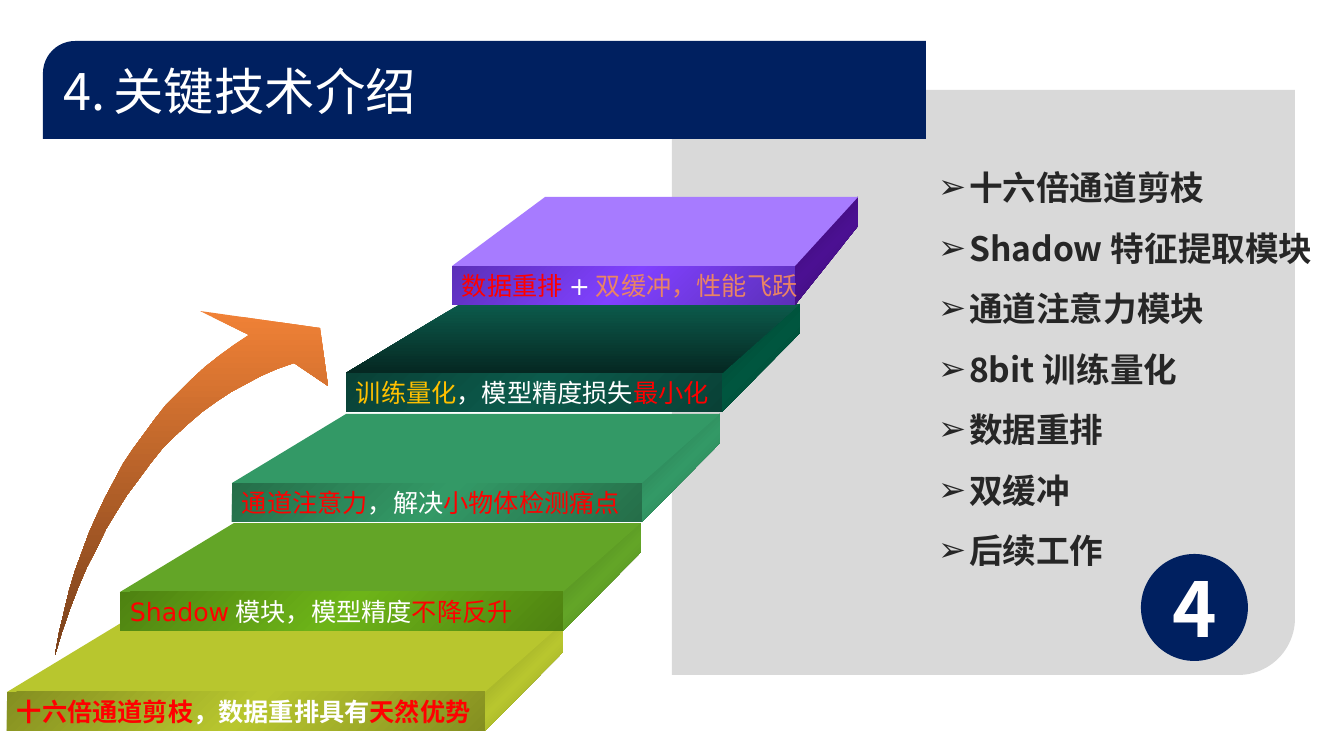
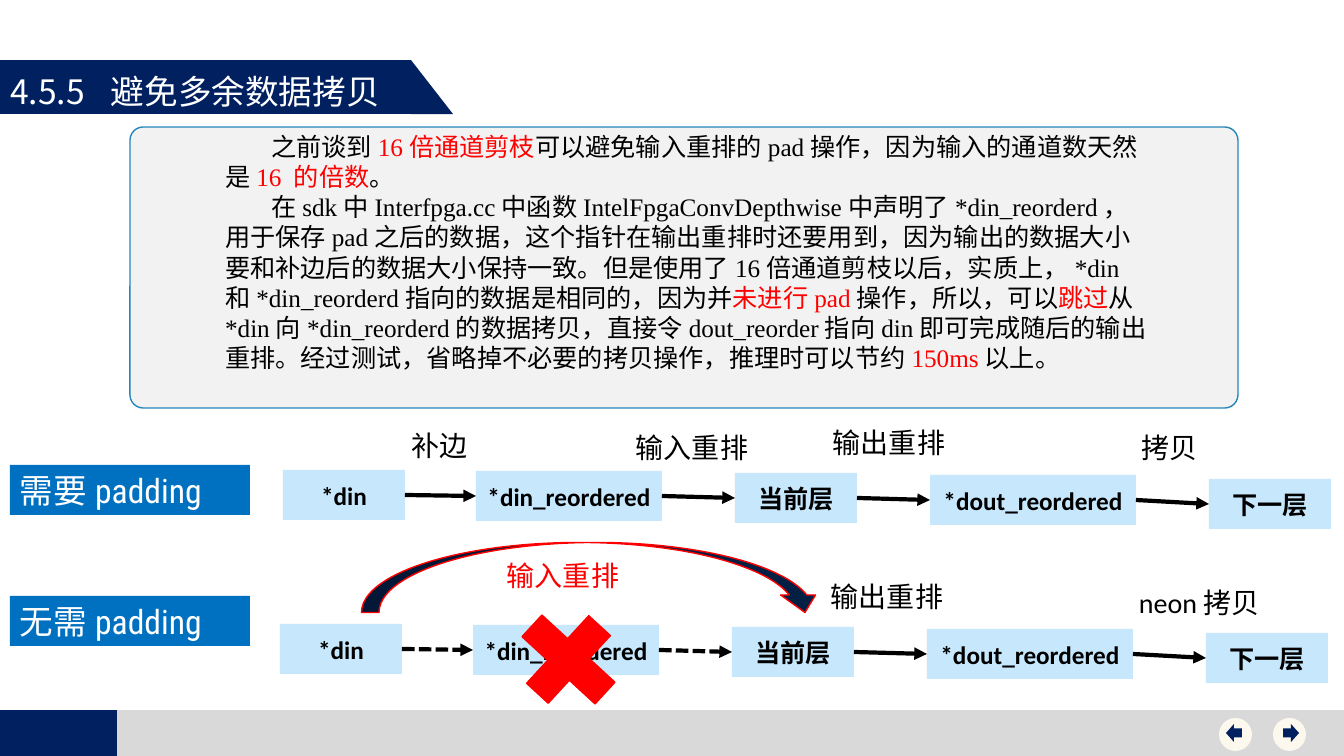
from lxml import etree
from pptx import Presentation
from pptx.dml.color import RGBColor
from pptx.enum import dml, shapes, text
from pptx.oxml.ns import qn
from pptx.util import Pt

# ---- Shared style ----
WIDE, HIGH = 1344, 756
PX = 12192000 / WIDE
HUE = dict(navy="002060", gray="D9D9D9", pale="F2F2F2", edge="2487BB",
           white="FFFFFF", black="000000", ink="262626", red="FF0000",
           gold="FFC000", coral="EA8464", blue="0070C0", sky="C6E7FC",
           cream="FCF8ED", deep="041F44", flame="F08136")
CJK = "Noto Sans CJK SC"
KIND = shapes.MSO_SHAPE
LEFT, MID = text.PP_ALIGN.LEFT, text.PP_ALIGN.CENTER

# ---- Slide 1 content ----
TOPICS = ["十六倍通道剪枝", "Shadow特征提取模块", "通道注意力模块",
          "8bit训练量化", "数据重排", "双缓冲", "后续工作"]
# front x, y, width; shift of back left and right corners; front, top, side; label
STEPS = [
    (7, 692, 478, 114, 78, "B8C62E", "B8C62E", "B8C62E",
     [("十六倍通道剪枝", "red"), ("，数据重排具有", "white"), ("天然优势", "red")]),
    (120, 592, 443, 114, 78, "6DB418", "63A527", "63A527",
     [("Shadow", "red"), ("模块，模型精度", "white"), ("不降反升", "red")]),
    (232, 483, 410, 114, 78, "339966", "339966", "339966",
     [("通道注意力", "red"), ("，解决", "white"), ("小物体检测痛点", "red")]),
    (346, 373, 376, 114, 78, "0C5A4B", "0C5A4B", "00563F",
     [("训练量化", "gold"), ("，模型精度损失", "white"), ("最小化", "red")]),
    (452, 266, 343, 93, 63, "8041FF", "A77BFF", "4B1092",
     [("数据重排", "red"), ("+", "white"), ("双缓冲，性能飞跃", "coral")]),
]
RISE, FRONT, BACK = 69, 39, 29
OUTER = [(55, 655), (94, 434), (249, 335)]
INNER = [(294, 363), (126, 418), (55, 655)]
HEAD = [(200, 311), (320, 328), (328, 386)]

# ---- Slide 2 content ----
STORY = [
    [("之前谈到", "black"), ("16倍通道剪枝", "red"),
     ("可以避免输入重排的pad操作，因为输入的通道数天然是", "black"),
     ("16 的倍数", "red"), ("。", "black")],
    [("在sdk中Interfpga.cc中函数IntelFpgaConvDepthwise中声明了*din_reorderd，"
      "用于保存pad之后的数据，这个指针在输出重排时还要用到，因为输出的数据大小"
      "要和补边后的数据大小保持一致。但是使用了16倍通道剪枝以后，实质上，*din"
      "和*din_reorderd指向的数据是相同的，因为并", "black"),
     ("未进行pad", "red"), ("操作，所以，可以", "black"), ("跳过", "red"),
     ("从*din向*din_reorderd的数据拷贝，直接令dout_reorder指向din即可完成随后的输出"
      "重排。经过测试，省略掉不必要的拷贝操作，推理时可以节约", "black"),
     ("150ms", "red"), ("以上。", "black")],
]
NODES = [(283, 470, 122, "*din"), (476, 471, 186, "*din_reordered"),
         (735, 473, 122, "当前层"), (930, 475, 206, "*dout_reordered"),
         (1209, 479, 122, "下一层")]
# name, name y, shift of the nodes, number of dashed links
ROWS = [("需要padding", 465, 0, 0, 0), ("无需padding", 596, -3, 154, 2)]
NOTES = [(402, 423, "补边", CJK, "black"), (626, 425, "输入重排", CJK, "black"),
         (823, 420, "输出重排", CJK, "black"), (1132, 425, "拷贝", "Calibri", "black"),
         (497, 553, "输入重排", CJK, "red"), (821, 574, "输出重排", CJK, "black"),
         (1129, 580, "neon拷贝", "Calibri", "black")]
NAV = [(1219, 1226, KIND.LEFT_ARROW), (1273, 1283, KIND.RIGHT_ARROW)]


# ---- Helpers ----
def emu(*vals):
    return [round(v * PX) for v in vals]


def rgb(name):
    return RGBColor.from_string(HUE.get(name, name))


def shade(hexa, part=0.72):
    return "".join(f"{round(int(hexa[i:i + 2], 16) * part):02X}" for i in (0, 2, 4))


def paint(shape, fill, line=None):
    shape.shadow.inherit = False
    shape.fill.solid()
    shape.fill.fore_color.rgb = rgb(fill)
    if line:
        shape.line.color.rgb = rgb(line)
        shape.line.width = Pt(1)
    else:
        shape.line.fill.background()
    return shape


def blend(shape, stops, angle):
    shape.fill.gradient()
    shape.fill.gradient_angle = 360 - angle
    grad = shape.element.spPr.find(".//" + qn("a:gsLst"))
    for old in list(grad):
        grad.remove(old)
    for i, hexa in enumerate(stops):
        stop = etree.SubElement(grad, qn("a:gs"), pos=str(i * 100000 // (len(stops) - 1)))
        etree.SubElement(stop, qn("a:srgbClr"), val=hexa)


def draw(slide, kind, box, fill, line=None, adj=None, flip=None, turn=0):
    shape = paint(slide.shapes.add_shape(kind, *emu(*box)), fill, line)
    if adj is not None:
        shape.adjustments[0] = adj
    if flip:
        shape.element.spPr.find(qn("a:xfrm")).set(flip, "1")
    shape.rotation = turn
    return shape


def outline(slide, points, fill):
    pen = slide.shapes.build_freeform(*points[0], scale=PX)
    pen.add_line_segments(points[1:], close=True)
    return paint(pen.convert_to_shape(), fill)


def curve(a, b, c, count=20):
    ts = [i / count for i in range(count + 1)]
    return [tuple((1 - t) ** 2 * p + 2 * t * (1 - t) * q + t * t * r
                  for p, q, r in zip(a, b, c)) for t in ts]


def write(shape, paras, size, face=CJK, color="black", bold=False, align=LEFT,
          wrap=True, anchor=text.MSO_ANCHOR.MIDDLE, pitch=None, bullet=None,
          hang=(0, 0), tab=None, inset=None):
    frame = shape.text_frame
    look = dict(word_wrap=wrap, auto_size=text.MSO_AUTO_SIZE.NONE, vertical_anchor=anchor)
    if inset is not None:
        look.update(margin_left=inset, margin_right=inset,
                    margin_top=inset, margin_bottom=inset)
    for key, val in look.items():
        setattr(frame, key, val)
    font = dict(size=Pt(size), name=face, bold=bold)
    for i, runs in enumerate(paras):
        para = frame.add_paragraph() if i else frame.paragraphs[0]
        para.alignment = align
        para.space_before = Pt(0)
        if pitch:
            para.line_spacing = Pt(pitch)
        props = para._p.get_or_add_pPr()
        for key, val in zip(("marL", "indent"), emu(*hang)):
            props.set(key, str(val))
        if bullet:
            etree.SubElement(props, qn("a:buChar"), char=bullet)
        else:
            etree.SubElement(props, qn("a:buNone"))
        if tab:
            stops = etree.SubElement(props, qn("a:tabLst"))
            etree.SubElement(stops, qn("a:tab"), pos=str(emu(tab)[0]), algn="l")
        for words, tone in [(runs, color)] if isinstance(runs, str) else runs:
            run = para.add_run()
            run.text = words
            for key, val in font.items():
                setattr(run.font, key, val)
            run.font.color.rgb = rgb(tone)
            etree.SubElement(run._r.get_or_add_rPr(), qn("a:ea"), typeface=CJK)


def place(holder, box):
    """Move a placeholder to its box, in front of what is drawn so far."""
    holder.left, holder.top, holder.width, holder.height = emu(*box)
    holder.element.getparent().append(holder.element)
    return holder


def head(slide, box, words, size, tab):
    write(place(slide.shapes.title, box), [words], size, color="white", tab=tab)


def link(slide, start, end, dashed):
    line = slide.shapes.add_connector(shapes.MSO_CONNECTOR.STRAIGHT, *emu(*start, *end))
    line.line.color.rgb = rgb("black")
    line.line.width = Pt(3)
    if dashed:
        line.line.dash_style = dml.MSO_LINE.SQUARE_DOT
    etree.SubElement(line.line._get_or_add_ln(), qn("a:tailEnd"), type="triangle")
    etree.SubElement(line.element.spPr, qn("a:effectLst"))


# ---- Slide 1: staircase of techniques ----
def stairs(slide):
    draw(slide, KIND.ROUND_1_RECTANGLE, (672, 90, 623, 585), "gray", adj=0.097, flip="flipV")
    draw(slide, KIND.ROUND_1_RECTANGLE, (43, 41, 883, 98), "navy", adj=0.328, flip="flipH")
    head(slide, (53, 41, 863, 98), "4.\t关键技术介绍", 36, 63)
    badge = draw(slide, KIND.OVAL, (1141, 554, 107, 107), "navy")
    write(badge, ["4"], 54, color="white", bold=True, align=MID, inset=0)
    write(place(slide.placeholders[1], (928, 142, 399, 492)), TOPICS, 24, color="ink",
          bold=True, anchor=text.MSO_ANCHOR.TOP, pitch=43.2, bullet="➢", hang=(31, -31))

    for i, (x, y, wide, near, far, front, top, side, label) in enumerate(STEPS):
        right, back = x + wide, y - RISE
        face = outline(slide, [(right, y), (right + far, back), (right + far, back + BACK),
                               (right, y + FRONT)], side)
        blend(face, [shade(side), side, shade(side)], 45)
        face = outline(slide, [(x, y), (x + near, back), (right + far, back),
                               (right, y)], top)
        if top == "0C5A4B":
            blend(face, [top, shade(top, 0.45)], 90)
        face = draw(slide, KIND.RECTANGLE, (x, y, wide, FRONT), front)
        blend(face, [shade(front), front, shade(front)], 45)
        write(face, [label], 18, "DejaVu Sans", bold=i == 0, wrap=False)

    arrow = outline(slide, curve(*OUTER) + HEAD + curve(*INNER), "flame")
    blend(arrow, [HUE["flame"], shade(HUE["flame"], 0.5)], 90)


# ---- Slide 2: avoiding the extra copy ----
def flow(slide):
    foot = HIGH - 46
    draw(slide, KIND.RECTANGLE, (0, foot, WIDE, 46), "gray")
    draw(slide, KIND.RECTANGLE, (0, foot, 117, 46), "navy")
    for x, tip, kind in NAV:
        draw(slide, KIND.OVAL, (x, 718, 33, 33), "cream")
        draw(slide, kind, (tip, 724, 16, 18), "navy")

    draw(slide, KIND.RECTANGLE, (0, 60, 411, 54), "navy")
    draw(slide, KIND.RIGHT_TRIANGLE, (411, 60, 42, 54), "navy")
    head(slide, (0, 66, 492, 50), "4.5.5\t避免多余数据拷贝", 24, 105)

    draw(slide, KIND.ROUNDED_RECTANGLE, (130, 127, 1108, 281), "pale", "edge", adj=0.047)
    write(place(slide.placeholders[1], (215, 126, 942, 285)), STORY, 18, "Times New Roman",
          anchor=text.MSO_ANCHOR.TOP, pitch=21.6, hang=(0, 46))

    for name, y, dx, dy, dashed in ROWS:
        tag = draw(slide, KIND.RECTANGLE, (10, y, 240, 50), "blue")
        write(tag, [name], 24, "Roboto Condensed", "white")
        for x, top, wide, words in NODES:
            node = draw(slide, KIND.RECTANGLE, (x + dx, top + dy, wide, 50), "sky")
            write(node, [words], 18, "Calibri", bold=True, align=MID, inset=0)
        for i, (a, b) in enumerate(zip(NODES, NODES[1:])):
            link(slide, (a[0] + a[2] + dx, a[1] + 25 + dy),
                 (b[0] + dx, b[1] + 25 + dy), i < dashed)

    for x, y, words, face, tone in NOTES:
        note = slide.shapes.add_textbox(*emu(x, y, 141, 44))
        write(note, [words], 20, face, tone)
    draw(slide, KIND.CURVED_RIGHT_ARROW, (557, 347, 70, 461), "deep", "red",
         flip="flipH", turn=270)
    draw(slide, KIND.MATH_PLUS, (501, 597, 135, 125), "red", "red", turn=42.6)


def main():
    deck = Presentation()
    deck.slide_width, deck.slide_height = emu(WIDE, HIGH)
    for build in (stairs, flow):
        build(deck.slides.add_slide(deck.slide_layouts[1]))
    deck.save("out.pptx")


if __name__ == "__main__":
    main()
